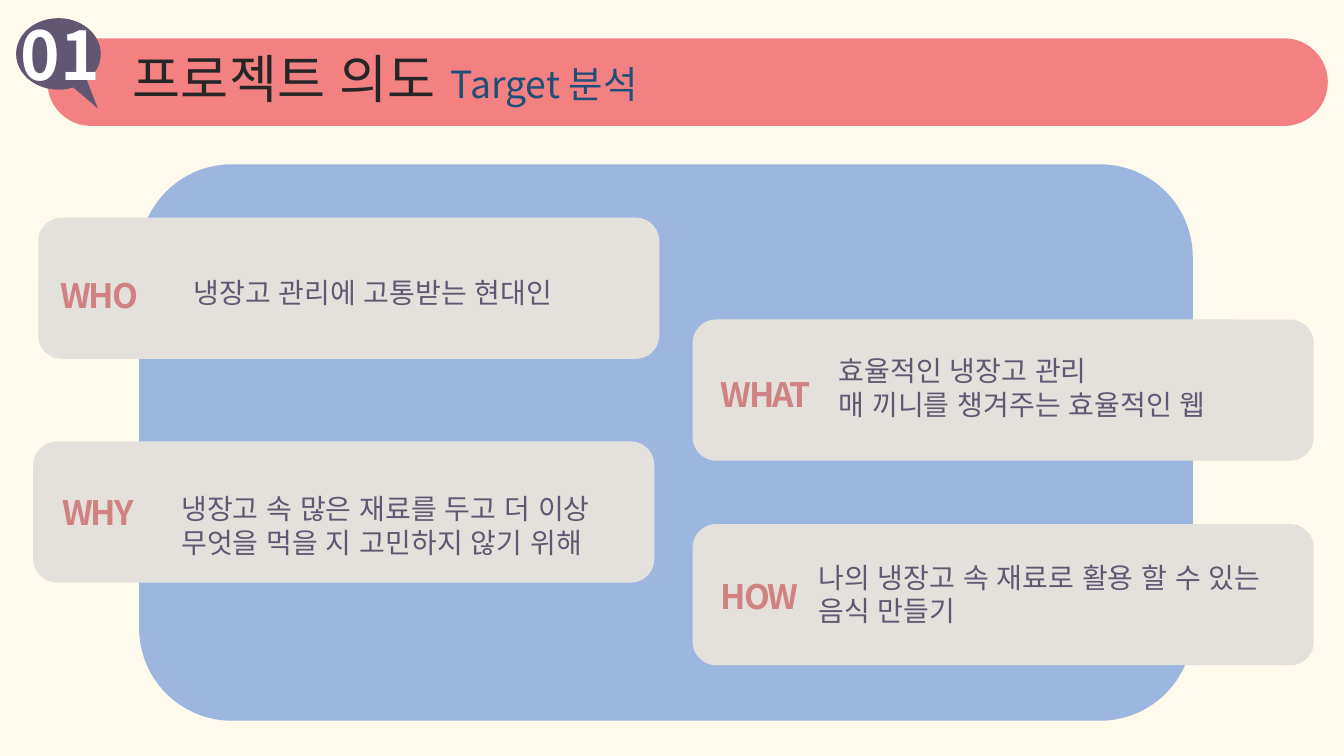
from dataclasses import dataclass

from lxml.etree import SubElement
from pptx import Presentation
from pptx.dml.color import RGBColor
from pptx.enum.lang import MSO_LANGUAGE_ID as Language
from pptx.enum.shapes import MSO_SHAPE as Preset
from pptx.enum.text import MSO_ANCHOR as Anchor, MSO_AUTO_SIZE as AutoSize
from pptx.oxml.ns import qn
from pptx.slide import Slide
from pptx.text.text import Font
from pptx.util import Inches, Pt


@dataclass(frozen=True)
class Theme:
    """Colours, typeface and type sizes of the slide."""
    face: str = "Noto Sans CJK KR"
    cream: str = "FEFAEC"
    blue: str = "9DB6DF"
    coral: str = "F38181"
    purple: str = "625772"
    card: str = "E4E0DC"
    rose: str = "D08282"
    ink: str = "262626"
    navy: str = "1F4E79"
    white: str = "FFFFFF"
    number_size: float = 48
    title_size: float = 37.3
    subtitle_size: float = 26.7
    label_size: float = 24
    body_size: float = 20


@dataclass(frozen=True)
class Box:
    """A rectangle in inches."""
    left: float
    top: float
    width: float
    height: float

    def emu(self) -> tuple[Inches, Inches, Inches, Inches]:
        """Return the rectangle as lengths for a shape."""
        return Inches(self.left), Inches(self.top), Inches(self.width), Inches(self.height)


@dataclass(frozen=True)
class Card:
    """A question with its answer and the places of both."""
    label: str
    answer: tuple[str, ...]
    left: float
    top: float
    label_box: Box
    answer_box: Box


THEME = Theme()
CARD_WIDTH, CARD_HEIGHT = 6.16, 1.4
RIGHT_LEFT = 6.87
CARDS = (
    Card("WHY", ("냉장고 속 많은 재료를 두고 더 이상 무엇을 먹을 지 고민하지 않기 위해",),
         0.33, 4.38, Box(0.52, 4.83, 1, 0.5), Box(1.7, 4.83, 4.85, 0.77)),
    Card("WHAT", ("효율적인 냉장고 관리", "매 끼니를 챙겨주는 효율적인 웹"),
         RIGHT_LEFT, 3.17, Box(7.05, 3.66, 1.17, 0.5), Box(8.22, 3.46, 4.25, 1.11)),
    Card("HOW", ("나의 냉장고 속 재료로 활용 할 수 있는 음식 만들기",),
         RIGHT_LEFT, 5.2, Box(7.05, 5.66, 1.04, 0.5), Box(8.02, 5.51, 4.64, 0.77)),
    Card("WHO", ("냉장고 관리에 고통받는 현대인",),
         0.38, 2.16, Box(0.5, 2.68, 1.21, 0.5), Box(1.82, 2.68, 4.85, 0.44)),
)


def add_panel(slide: Slide, preset: Preset, box: Box, color: str,
              adjustments: tuple[float, ...] = ()) -> None:
    """Draw a flat filled shape without an outline."""
    panel = slide.shapes.add_shape(preset, *box.emu())
    panel.shadow.inherit = False
    panel.fill.solid()
    panel.fill.fore_color.rgb = RGBColor.from_string(color)
    panel.line.fill.background()
    for index, value in enumerate(adjustments):
        panel.adjustments[index] = value


def style_font(font: Font, size: float, color: str, bold: bool = False, tracking: float = 0) -> None:
    """Apply the typeface for Latin and Korean with size, colour and tracking."""
    font.size = Pt(size)
    font.bold = bold
    font.color.rgb = RGBColor.from_string(color)
    font.name = THEME.face
    font.language_id = Language.KOREAN
    properties = font._element
    SubElement(properties, qn("a:ea")).set("typeface", THEME.face)
    if tracking:
        properties.set("spc", str(round(tracking * 100)))


def add_text(slide: Slide, box: Box, lines: tuple[str, ...], size: float, color: str,
             bold: bool = False, tracking: float = 0) -> None:
    """Write one paragraph per line in a uniform style."""
    frame = slide.shapes.add_textbox(*box.emu()).text_frame
    frame.word_wrap = True
    frame.auto_size = AutoSize.SHAPE_TO_FIT_TEXT
    frame.text = "\n".join(lines)
    for paragraph in frame.paragraphs:
        style_font(paragraph.font, size, color, bold, tracking)


def add_title(slide: Slide) -> None:
    """Write the heading with its smaller subtitle."""
    frame = slide.shapes.add_textbox(*Box(1.22, 0.18, 9.39, 1.25).emu()).text_frame
    frame.word_wrap = True
    frame.vertical_anchor = Anchor.MIDDLE
    heading = frame.paragraphs[0]
    heading.line_spacing = 0.9
    for text, size, color in (("프로젝트 의도 ", THEME.title_size, THEME.ink),
                              ("Target 분석", THEME.subtitle_size, THEME.navy)):
        run = heading.add_run()
        run.text = text
        style_font(run.font, size, color)


def add_card(slide: Slide, card: Card) -> None:
    """Draw a card with its label and answer."""
    add_panel(slide, Preset.ROUNDED_RECTANGLE,
              Box(card.left, card.top, CARD_WIDTH, CARD_HEIGHT), THEME.card)
    add_text(slide, card.label_box, (card.label,), THEME.label_size, THEME.rose,
             bold=True, tracking=-1.5)
    add_text(slide, card.answer_box, card.answer, THEME.body_size, THEME.purple)


def main() -> None:
    """Build and save the slide."""
    deck = Presentation()
    deck.slide_width, deck.slide_height = Inches(13.33), Inches(7.5)
    slide = deck.slides.add_slide(deck.slide_layouts[6])
    slide.background.fill.solid()
    slide.background.fill.fore_color.rgb = RGBColor.from_string(THEME.cream)
    add_panel(slide, Preset.ROUNDED_RECTANGLE, Box(1.38, 1.63, 10.45, 5.52), THEME.blue)
    add_panel(slide, Preset.ROUNDED_RECTANGLE, Box(0.47, 0.38, 12.7, 0.87), THEME.coral, (0.5,))
    add_title(slide)
    add_panel(slide, Preset.OVAL_CALLOUT, Box(0.16, 0.18, 0.84, 0.71), THEME.purple, (0.465, 0.761))
    add_text(slide, Box(0.11, 0.08, 1.1, 0.91), ("01",), THEME.number_size, THEME.white, bold=True)
    for card in CARDS:
        add_card(slide, card)
    deck.save("out.pptx")


if __name__ == "__main__":
    main()
